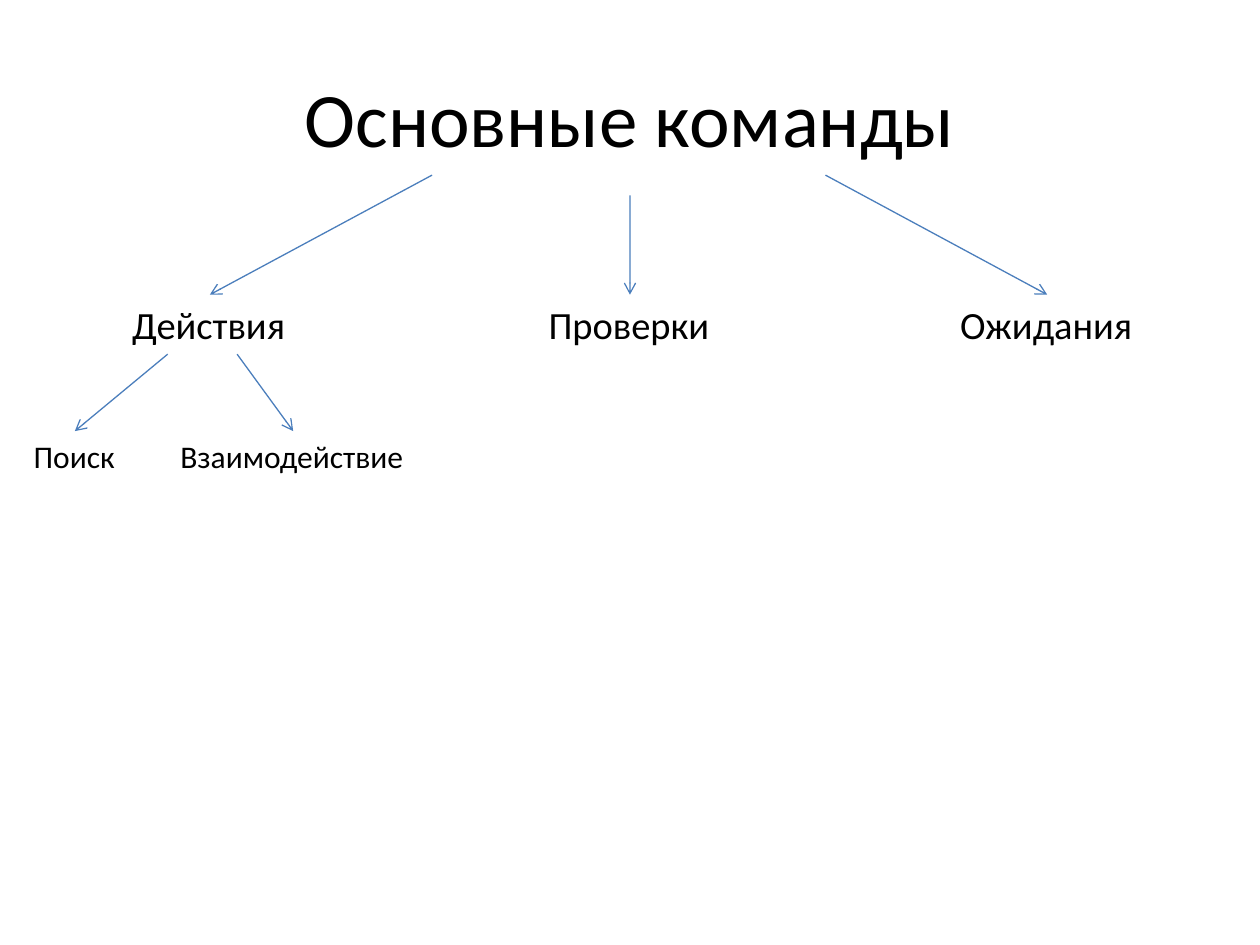
from lxml import etree
from pptx import Presentation
from pptx.dml.color import RGBColor
from pptx.enum.shapes import MSO_CONNECTOR
from pptx.enum.text import MSO_ANCHOR, MSO_AUTO_SIZE, PP_ALIGN
from pptx.oxml.ns import qn
from pptx.util import Cm, Pt

STRAIGHT = MSO_CONNECTOR.STRAIGHT
MIDDLE = MSO_ANCHOR.MIDDLE
FIT_SHAPE = MSO_AUTO_SIZE.SHAPE_TO_FIT_TEXT
CENTER = PP_ALIGN.CENTER
TOP_SIDE, BOTTOM_SIDE = 0, 2

COLORS = {"text": "000000", "arrow": "4B7EBC"}
FONT = "Calibri"

# Text, horizontal centre, width, arrow start (None: middle of the title's bottom)
GROUPS = [
    ("Действия", 4.23, 3.63, (8.71, 3.53)),
    ("Проверки", 12.7, 3.78, None),
    ("Ожидания", 21.11, 4.01, (16.64, 3.53)),
]
ACTIONS = [
    ("Поиск", 1.51, 2.16, (3.38, 7.14)),
    ("Взаимодействие", 5.91, 5.05, (4.78, 7.14)),
]


def add_text(page, text, left, top, width, height, size):
    box = page.shapes.add_textbox(Cm(left), Cm(top), Cm(width), Cm(height))
    para = box.text_frame.paragraphs[0]
    para.text = text
    para.font.name = FONT
    para.font.size = Pt(size)
    para.font.color.rgb = RGBColor.from_string(COLORS["text"])
    return box


def add_title(page, text):
    box = add_text(page, text, 1.27, 0.76, 22.86, 3.18, 44)
    box.text_frame.word_wrap = True
    box.text_frame.vertical_anchor = MIDDLE
    box.text_frame.paragraphs[0].alignment = CENTER
    return box


def add_arrow(page, start, target):
    """Draw an arrow from a point to the middle of the target's top side."""
    x, y = (Cm(value) for value in start)
    arrow = page.shapes.add_connector(STRAIGHT, x, y, x, y)
    arrow.end_connect(target, TOP_SIDE)
    arrow.line.color.rgb = RGBColor.from_string(COLORS["arrow"])
    arrow.line.width = Pt(0.75)
    properties = arrow.element.spPr
    outline = properties.find(qn("a:ln"))
    etree.SubElement(outline, qn("a:tailEnd"), type="arrow")
    etree.SubElement(properties, qn("a:effectLst"))
    return arrow


def add_level(page, parent, nodes, top, height, size):
    """Add a row of labels, each with an arrow from its parent."""
    for text, center, width, start in nodes:
        box = add_text(page, text, center - width / 2, top, width, height, size)
        box.text_frame.word_wrap = False
        box.text_frame.auto_size = FIT_SHAPE
        arrow = add_arrow(page, start or (center, top), box)
        if start is None:
            arrow.begin_connect(parent, BOTTOM_SIDE)


def main():
    deck = Presentation()
    deck.slide_width, deck.slide_height = Cm(25.4), Cm(19.05)
    page = deck.slides.add_slide(deck.slide_layouts[6])
    title = add_title(page, "Основные команды")
    add_level(page, title, GROUPS, 5.94, 1.19, 22)
    add_level(page, None, ACTIONS, 8.69, 1.02, 18)
    deck.save("out.pptx")


if __name__ == "__main__":
    main()
